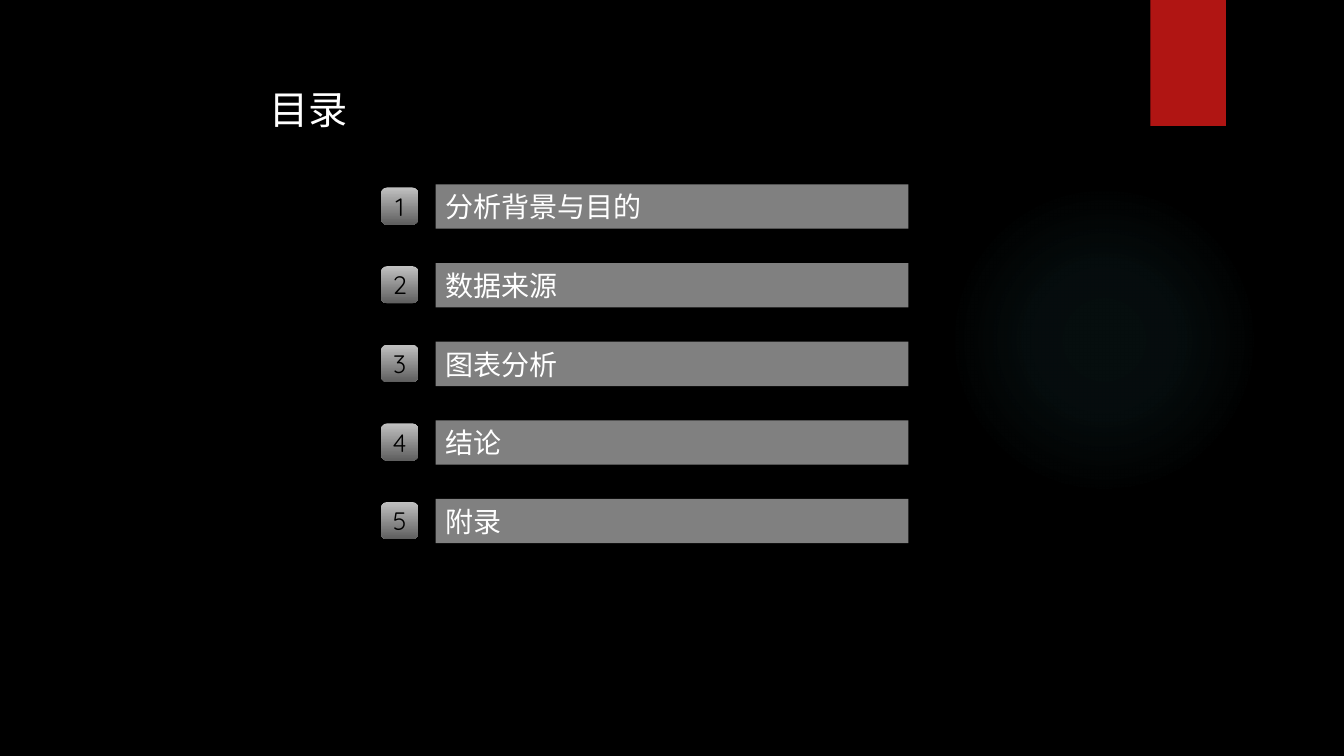
from dataclasses import dataclass

import pptx
import pptx.dml.color
import pptx.enum.shapes
import pptx.enum.text
import pptx.oxml
import pptx.oxml.ns
import pptx.util
from pptx.shapes.autoshape import Shape
from pptx.slide import Slide
from pptx.util import Inches

SHAPES = pptx.enum.shapes.MSO_SHAPE
ALIGN = pptx.enum.text.PP_ALIGN
CHINESE_FONT = "Noto Sans CJK SC"
NUMBER_FONT = "Quicksand"
FIRST_TOP = 1.83
ROW_STEP = 0.78
BADGE_OFFSET = 0.03


@dataclass
class Box:
    left: float
    top: float
    width: float
    height: float


@dataclass
class TextStyle:
    size: int
    font: str
    color: str
    alignment: pptx.enum.text.PP_ALIGN = ALIGN.LEFT


@dataclass
class AgendaItem:
    number: int
    title: str


TITLE_STYLE = TextStyle(28, CHINESE_FONT, "FFFFFF")
BAR_STYLE = TextStyle(20, CHINESE_FONT, "FFFFFF")
BADGE_STYLE = TextStyle(18, NUMBER_FONT, "000000", ALIGN.CENTER)
TITLES = ["分析背景与目的", "数据来源", "图表分析", "结论", "附录"]
AGENDA = [AgendaItem(number, title) for number, title in enumerate(TITLES, 1)]


def rgb(color: str) -> pptx.dml.color.RGBColor:
    return pptx.dml.color.RGBColor.from_string(color)


def lengths(box: Box) -> list[pptx.util.Length]:
    return [Inches(value) for value in (box.left, box.top, box.width, box.height)]


def add_plain_shape(slide: Slide, kind: pptx.enum.shapes.MSO_SHAPE, box: Box) -> Shape:
    shape = slide.shapes.add_shape(kind, *lengths(box))
    shape.shadow.inherit = False
    shape.line.fill.background()
    return shape


def add_rectangle(slide: Slide, box: Box, color: str) -> Shape:
    shape = add_plain_shape(slide, SHAPES.RECTANGLE, box)
    shape.fill.solid()
    shape.fill.fore_color.rgb = rgb(color)
    return shape


def write_text(shape: Shape, text: str, style: TextStyle) -> None:
    frame = shape.text_frame
    frame.text = text
    frame.word_wrap = True
    frame.vertical_anchor = pptx.enum.text.MSO_ANCHOR.MIDDLE
    paragraph = frame.paragraphs[0]
    paragraph.alignment = style.alignment
    font = paragraph.runs[0].font
    font.size = pptx.util.Pt(style.size)
    font.name = style.font
    font.color.rgb = rgb(style.color)
    properties = paragraph.runs[0]._r.get_or_add_rPr()
    east_asian = properties.makeelement(pptx.oxml.ns.qn("a:ea"), {"typeface": style.font})
    properties.find(pptx.oxml.ns.qn("a:latin")).addnext(east_asian)


def add_glow(slide: Slide, box: Box, color: str) -> None:
    glow = add_plain_shape(slide, SHAPES.OVAL, box)
    glow.fill.background()
    stops = "".join(
        f'<a:gs pos="{position * 1000}"><a:srgbClr val="{color}">'
        f'<a:alpha val="{opacity * 1000}"/></a:srgbClr></a:gs>'
        for position, opacity in [(0, 7), (36, 6), (69, 0), (100, 0)]
    )
    gradient = pptx.oxml.parse_xml(
        f'<a:gradFill {pptx.oxml.ns.nsdecls("a")}><a:gsLst>{stops}</a:gsLst>'
        '<a:path path="circle"><a:fillToRect l="50000" t="50000" r="50000" b="50000"/>'
        "</a:path></a:gradFill>"
    )
    properties = glow._element.spPr
    properties.replace(properties.find(pptx.oxml.ns.qn("a:noFill")), gradient)


def add_badge(slide: Slide, top: float, number: int) -> None:
    badge = add_plain_shape(slide, SHAPES.ROUNDED_RECTANGLE, Box(3.78, top, 0.37, 0.37))
    badge.fill.gradient()
    badge.fill.gradient_angle = 270
    for stop, position, color in zip(badge.fill.gradient_stops, (0, 1), ("C1C1C1", "5E5E5E")):
        stop.position = position
        stop.color.rgb = rgb(color)
    frame = badge.text_frame
    frame.margin_left = frame.margin_right = frame.margin_top = frame.margin_bottom = 0
    write_text(badge, str(number), BADGE_STYLE)


def add_agenda_row(slide: Slide, item: AgendaItem) -> None:
    top = FIRST_TOP + (item.number - 1) * ROW_STEP
    bar = add_rectangle(slide, Box(4.32, top, 4.69, 0.44), "808080")
    write_text(bar, item.title, BAR_STYLE)
    add_badge(slide, top + BADGE_OFFSET, item.number)


def main() -> None:
    presentation = pptx.Presentation()
    presentation.slide_width = Inches(13.33)
    presentation.slide_height = Inches(7.5)
    slide = presentation.slides.add_slide(presentation.slide_layouts[6])
    slide.background.fill.solid()
    slide.background.fill.fore_color.rgb = rgb("000000")

    add_glow(slide, Box(9.41, 1.83, 3.08, 3.08), "50B9C1")
    add_rectangle(slide, Box(11.41, 0, 0.75, 1.25), "B01513")
    heading = slide.shapes.add_textbox(*lengths(Box(2.57, 0.79, 2.54, 0.57)))
    write_text(heading, "目录", TITLE_STYLE)
    for item in AGENDA:
        add_agenda_row(slide, item)

    presentation.save("out.pptx")


if __name__ == "__main__":
    main()
